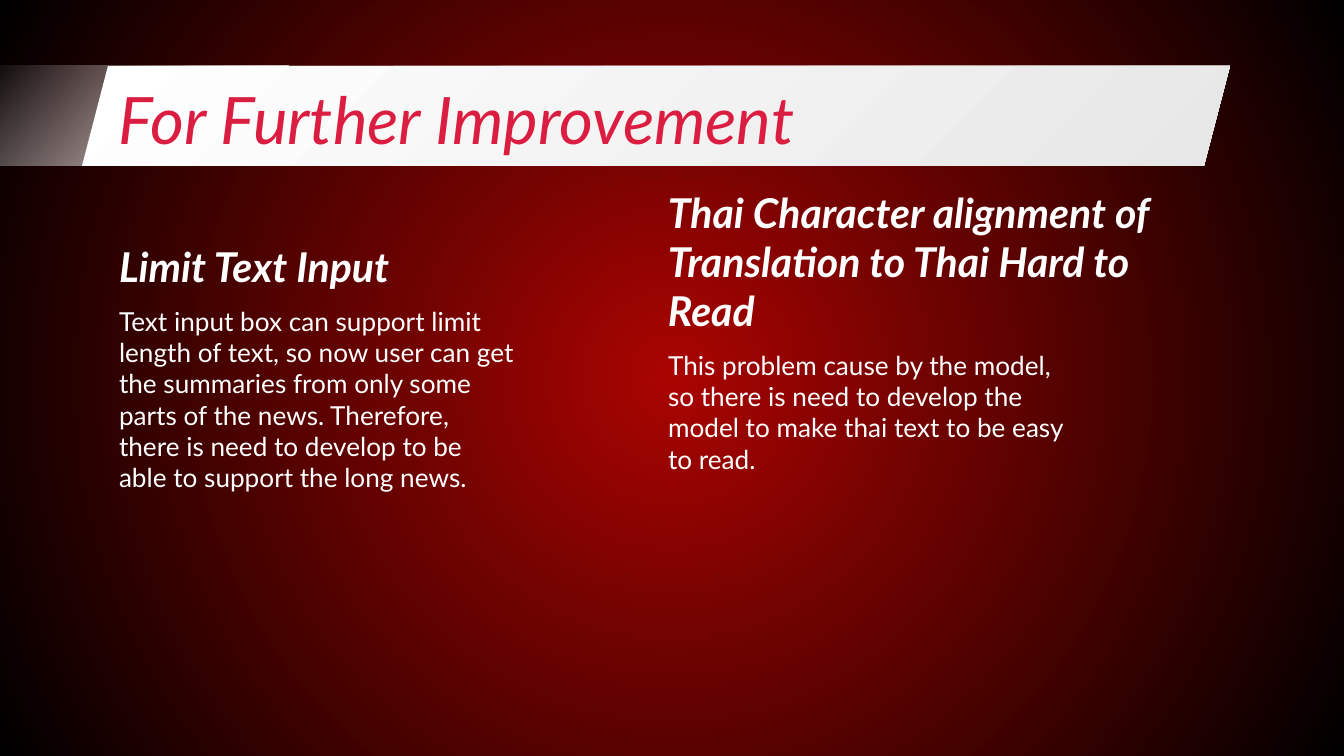
from dataclasses import dataclass

from lxml.etree import SubElement
from pptx import Presentation
from pptx.dml.color import RGBColor
from pptx.enum.shapes import MSO_SHAPE as Shape
from pptx.enum.text import MSO_ANCHOR as Anchor
from pptx.oxml.ns import qn
from pptx.util import Emu, Pt


@dataclass(frozen=True)
class Theme:
    font: str = "Lato"
    glow: str = "AA0401"
    night: str = "000000"
    white: str = "FFFFFF"
    silver: str = "E7E7E7"
    crimson: str = "DA1D40"
    title_size: int = 35
    heading_size: int = 22
    body_size: int = 14


THEME = Theme()
TITLE = "For Further Improvement"
TOPICS = [
    {
        "heading": "Limit Text Input",
        "body": "Text input box can support limit length of text, so now user can "
                "get the summaries from only some parts of the news. Therefore, there "
                "is need to develop to be able to support the long news.",
        "left": 106, "top": 226, "heading_width": 528,
    },
    {
        "heading": "Thai Character alignment of Translation to Thai Hard to Read",
        "body": "This problem cause by the model, so there is need to develop the "
                "model to make thai text to be easy to read.",
        "left": 655, "top": 270, "heading_width": 512,
    },
]

SLIDE_WIDTH, SLIDE_HEIGHT = 1344, 756
BANNER_TOP, BANNER_HEIGHT = 66, 100
HEADING_HEIGHT, BODY_OFFSET = 78, 66
BODY_WIDTH, BODY_HEIGHT = 422, 105
INSET = 13


def px(length):
    return Emu(round(length * 914400 / 134.4))


def set_gradient(solid, start, end, start_alpha=100, angle=None):
    gradient = solid.makeelement(qn("a:gradFill"), {"rotWithShape": "1"})
    stops = SubElement(gradient, qn("a:gsLst"))
    for position, color, alpha in ((0, start, start_alpha), (100, end, 100)):
        stop = SubElement(stops, qn("a:gs"), pos=str(position * 1000))
        tint = SubElement(stop, qn("a:srgbClr"), val=color)
        if alpha < 100:
            SubElement(tint, qn("a:alpha"), val=str(alpha * 1000))
    if angle is None:
        circle = SubElement(gradient, qn("a:path"), {"path": "circle"})
        SubElement(circle, qn("a:fillToRect"), dict.fromkeys("ltrb", "50000"))
    else:
        SubElement(gradient, qn("a:lin"), ang=str(angle * 60000), scaled="0")
    solid.getparent().replace(solid, gradient)


def add_band(slide, preset, left, width, end, start_alpha=100):
    band = slide.shapes.add_shape(
        preset, px(left), px(BANNER_TOP), px(width), px(BANNER_HEIGHT))
    band.shadow.inherit = False
    band.line.fill.background()
    band.fill.solid()
    solid = band.element.spPr.find(qn("a:solidFill"))
    set_gradient(solid, THEME.white, end, start_alpha, angle=45)
    return band


def add_text(slide, text, box, size, color=THEME.white, bold=False, italic=False,
             anchor=Anchor.TOP):
    frame = slide.shapes.add_textbox(*map(px, box)).text_frame
    frame.word_wrap = True
    frame.vertical_anchor = anchor
    frame.margin_left = frame.margin_right = px(INSET)
    frame.margin_top = frame.margin_bottom = px(INSET)
    paragraph = frame.paragraphs[0]
    paragraph.text = text
    font = paragraph.font
    font.name, font.size = THEME.font, Pt(size)
    font.bold, font.italic = bold, italic
    font.color.rgb = RGBColor.from_string(color)


def main():
    deck = Presentation()
    deck.slide_width, deck.slide_height = px(SLIDE_WIDTH), px(SLIDE_HEIGHT)
    slide = deck.slides.add_slide(deck.slide_layouts[6])

    slide.background.fill.solid()
    backdrop = next(slide.element.iter(qn("a:solidFill")))
    set_gradient(backdrop, THEME.glow, THEME.night)

    add_band(slide, Shape.RECTANGLE, -20, 308, THEME.white, start_alpha=0)
    banner = add_band(slide, Shape.PARALLELOGRAM, 82, 1148, THEME.silver)
    banner.adjustments[0] = 0.26
    add_text(slide, TITLE, (106, BANNER_TOP, 1133, 85), THEME.title_size,
             THEME.crimson, italic=True)

    for topic in TOPICS:
        left, top = topic["left"], topic["top"]
        add_text(slide, topic["heading"],
                 (left, top, topic["heading_width"], HEADING_HEIGHT),
                 THEME.heading_size, bold=True, italic=True, anchor=Anchor.BOTTOM)
        add_text(slide, topic["body"],
                 (left, top + BODY_OFFSET, BODY_WIDTH, BODY_HEIGHT), THEME.body_size)

    deck.save("out.pptx")


if __name__ == "__main__":
    main()
